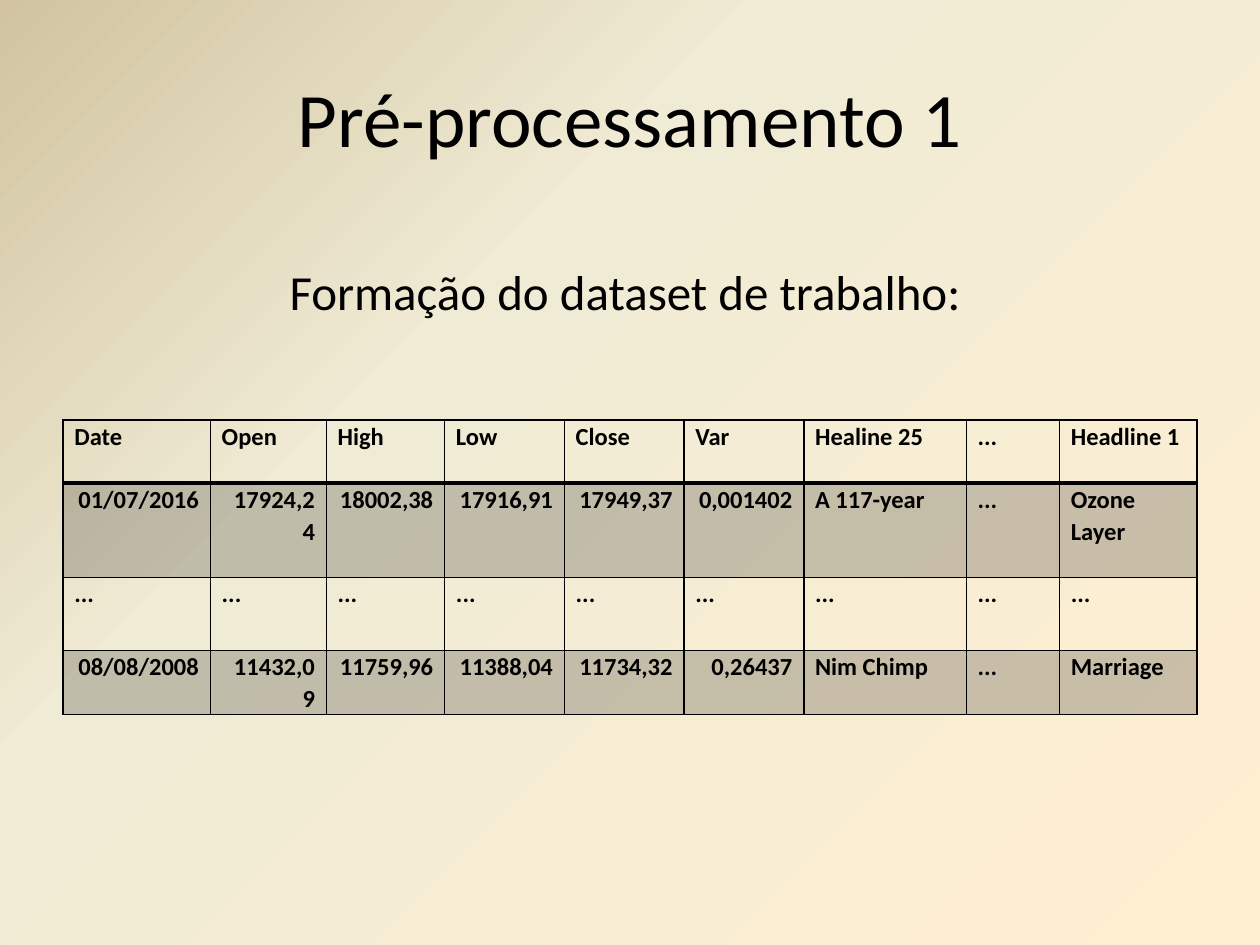
from pptx import Presentation
from pptx.dml.color import RGBColor
from pptx.enum.text import MSO_ANCHOR, MSO_AUTO_SIZE, PP_ALIGN
from pptx.oxml import parse_xml
from pptx.oxml.ns import qn
from pptx.util import Pt

CENTER, RIGHT, LEFT = PP_ALIGN.CENTER, PP_ALIGN.RIGHT, PP_ALIGN.LEFT
MIDDLE = MSO_ANCHOR.MIDDLE
GROW = MSO_AUTO_SIZE.SHAPE_TO_FIT_TEXT
TITLE_ONLY = 5
BLACK = "000000"
NAMESPACE = 'xmlns:a="http://schemas.openxmlformats.org/drawingml/2006/main"'

BACKGROUND_STOPS = [(0, "FFEFD1"), (65, "F0EBD5"), (100, "D1C39F")]
COLUMN_WIDTHS = [84.24, 66.24, 67.68, 68.4, 68.4, 68.4, 92.88, 53.28, 78.48]
ROW_HEIGHTS = [36, 54, 41.76, 36]
NUMERIC_COLUMNS = 6
ROWS = [
    ["Date", "Open", "High", "Low", "Close", "Var", "Healine 25", "...", "Headline 1"],
    ["01/07/2016", "17924,24", "18002,38", "17916,91", "17949,37", "0,001402",
     "A 117-year", "...", "Ozone Layer"],
    ["..."] * len(COLUMN_WIDTHS),
    ["08/08/2008", "11432,09", "11759,96", "11388,04", "11734,32", "0,26437",
     "Nim Chimp", "...", "Marriage"],
]
CELL_FORMAT = {"margin_left": Pt(6.48), "margin_right": Pt(6.48),
               "margin_top": 0, "margin_bottom": 0}


def color(value):
    return RGBColor.from_string(value)


def write_text(frame, text, size, align, bold=False):
    para = frame.paragraphs[0]
    para.alignment = align
    span = para.add_run()
    span.text = text
    span.font.color.rgb = color(BLACK)
    for name, value in {"name": "Calibri", "size": Pt(size), "bold": bold}.items():
        setattr(span.font, name, value)
    return para


deck = Presentation()
deck.slide_width, deck.slide_height = Pt(720), Pt(540)
slide = deck.slides.add_slide(deck.slide_layouts[TITLE_ONLY])

# Background: gradient spreading from the bottom right corner
slide.background.fill.gradient()
gradient = slide.element.find(".//" + qn("a:gradFill"))
stops = "".join(f'<a:gs pos="{position * 1000}"><a:srgbClr val="{value}"/></a:gs>'
                for position, value in BACKGROUND_STOPS)
gradient.getparent().replace(gradient, parse_xml(
    f'<a:gradFill {NAMESPACE} rotWithShape="1"><a:gsLst>{stops}</a:gsLst>'
    '<a:path path="circle"><a:fillToRect l="100000" t="100000"/></a:path></a:gradFill>'))

# Title
title = slide.shapes.title
title.left, title.top, title.width, title.height = Pt(36), Pt(21.6), Pt(648), Pt(90)
title.text_frame.vertical_anchor = MIDDLE
write_text(title.text_frame, "Pré-processamento 1", 44, CENTER)

# Dataset table
table = slide.shapes.add_table(len(ROWS), len(COLUMN_WIDTHS), Pt(36), Pt(240),
                               Pt(sum(COLUMN_WIDTHS)), Pt(sum(ROW_HEIGHTS))).table
table.first_row = table.horz_banding = False
for column, width in zip(table.columns, COLUMN_WIDTHS):
    column.width = Pt(width)
for row, height in zip(table.rows, ROW_HEIGHTS):
    row.height = Pt(height)

for row_index, texts in enumerate(ROWS):
    shaded = row_index % 2 == 1
    for column_index, text in enumerate(texts):
        cell = table.cell(row_index, column_index)
        for name, value in CELL_FORMAT.items():
            setattr(cell, name, value)
        align = RIGHT if shaded and column_index < NUMERIC_COLUMNS else LEFT
        write_text(cell.text_frame, text, 14, align, bold=True).line_spacing = 1.07

        properties = cell._tc.get_or_add_tcPr()
        if shaded:
            cell.fill.solid()
            cell.fill.fore_color.rgb = color(BLACK)
            properties.find(".//" + qn("a:srgbClr")).append(
                parse_xml(f'<a:alpha {NAMESPACE} val="20000"/>'))
        else:
            cell.fill.background()

        # The line under the header belongs to both rows that share it
        thick_side = {0: "B", 1: "T"}.get(row_index)
        for order, side in enumerate("LRTB"):
            width = Pt(2 if side == thick_side else 1)
            properties.insert(order, parse_xml(
                f'<a:ln{side} {NAMESPACE} w="{width}"><a:solidFill>'
                f'<a:srgbClr val="{BLACK}"/></a:solidFill></a:ln{side}>'))

# Subtitle
subtitle = slide.shapes.add_textbox(Pt(120.24), Pt(146.16), Pt(473.76), Pt(41.04))
subtitle.text_frame.word_wrap = True
subtitle.text_frame.auto_size = GROW
write_text(subtitle.text_frame, "Formação do dataset de trabalho:", 28, CENTER)

deck.save("out.pptx")
